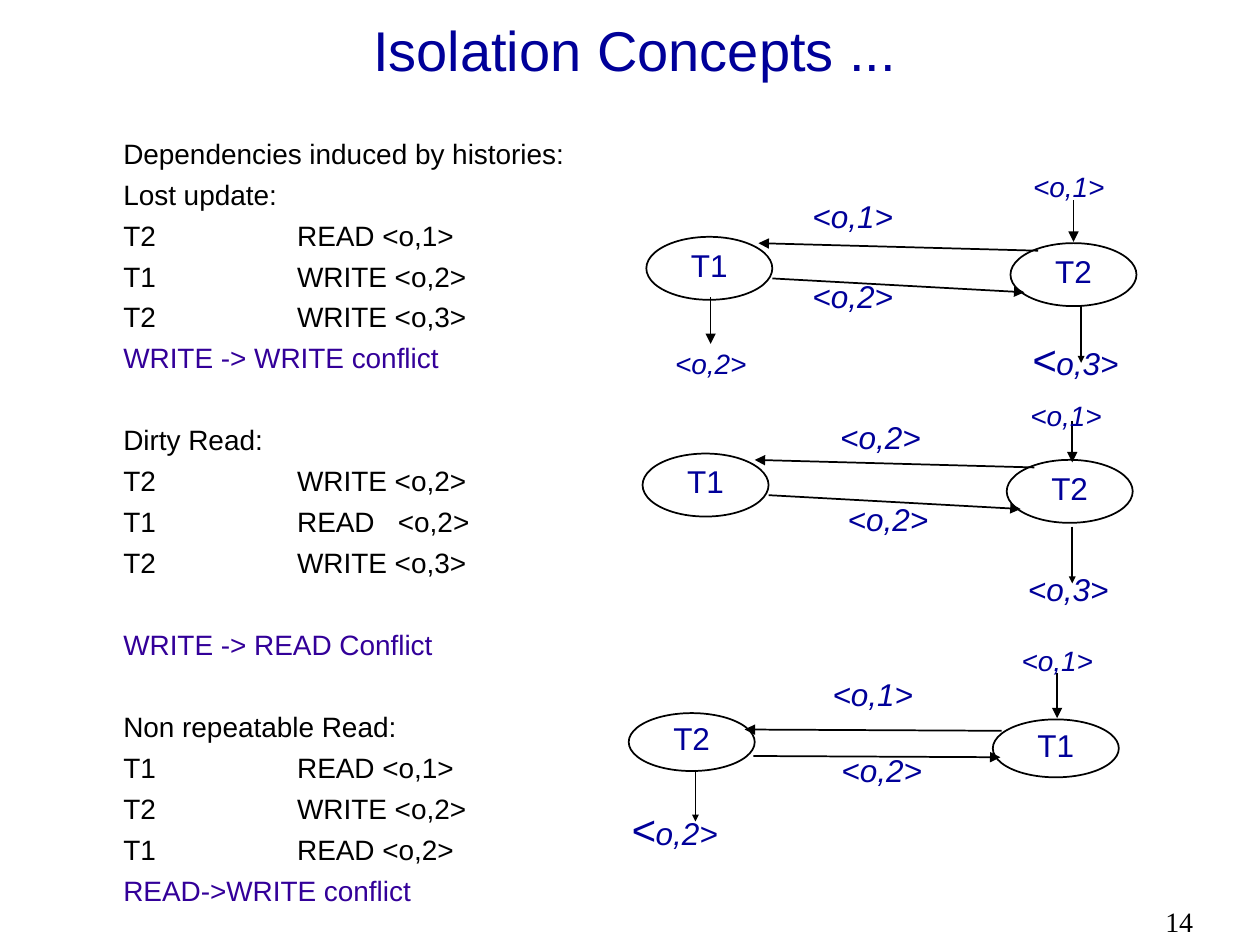
from dataclasses import dataclass

from lxml import etree
from pptx import Presentation
from pptx import util as u
from pptx.dml.color import RGBColor
from pptx.enum import shapes, text
from pptx.oxml import ns

COLORS = {"ink": "000000", "navy": "000099", "violet": "330099"}
NODE_W, NODE_DX, NODE_DY = 1, 2.89, 0.05
LABEL_H = 0.34
LINE_PT = 17.4
FRAME = {"word_wrap": True, "auto_size": text.MSO_AUTO_SIZE.NONE}


@dataclass
class Label:
    left: float
    top: float
    width: float
    runs: list[tuple[str, int]]


@dataclass
class Arrow:
    x1: float
    y1: float
    x2: float
    y2: float
    size: str = "med"
    weight: float = 1


@dataclass
class Graph:
    left: float
    top: float
    node_h: float
    names: tuple[str, str]
    arrows: list[Arrow]
    labels: list[Label]


def color(name: str) -> RGBColor:
    return RGBColor.from_string(COLORS[name])


def apply(obj, values: dict) -> None:
    for name, value in values.items():
        setattr(obj, name, value)


def add_run(p, words: str, size: int, ink: str, italic: bool = False,
            font: str = "Arial") -> None:
    r = p.add_run()
    r.text = words
    apply(r.font, {"name": font, "size": u.Pt(size), "italic": italic, "bold": False})
    r.font.color.rgb = color(ink)


def add_box(s, left: float, top: float, width: float, height: float):
    sp = s.shapes.add_textbox(*map(u.Inches, (left, top, width, height)))
    apply(sp.text_frame, FRAME)
    return sp.text_frame


def add_tabs(p, stops: tuple[float, ...]) -> None:
    tabs = etree.SubElement(p._p.get_or_add_pPr(), ns.qn("a:tabLst"))
    for stop in stops:
        etree.SubElement(tabs, ns.qn("a:tab"), pos=str(u.Inches(stop)), algn="l")


def add_label(s, label: Label) -> None:
    p = add_box(s, label.left, label.top, label.width, LABEL_H).paragraphs[0]
    p.line_spacing = u.Pt(LINE_PT)
    for words, size in label.runs:
        add_run(p, words, size, "navy", italic=True)


def add_node(s, left: float, top: float, height: float, name: str) -> None:
    sp = s.shapes.add_shape(shapes.MSO_SHAPE.OVAL,
                            *map(u.Inches, (left, top, NODE_W, height)))
    sp.shadow.inherit = False
    sp.fill.background()
    sp.line.color.rgb = color("ink")
    sp.line.width = u.Pt(1)
    tf = sp.text_frame
    apply(tf, {"word_wrap": False, "vertical_anchor": text.MSO_ANCHOR.MIDDLE})
    p = tf.paragraphs[0]
    apply(p, {"alignment": text.PP_ALIGN.CENTER, "line_spacing": u.Pt(LINE_PT)})
    add_run(p, name, 18, "navy")


def add_arrow(s, arrow: Arrow) -> None:
    ends = map(u.Inches, (arrow.x1, arrow.y1, arrow.x2, arrow.y2))
    sp = s.shapes.add_connector(shapes.MSO_CONNECTOR.STRAIGHT, *ends)
    sp.line.color.rgb = color("ink")
    sp.line.width = u.Pt(arrow.weight)
    etree.SubElement(sp.line._get_or_add_ln(), ns.qn("a:tailEnd"),
                     type="triangle", w=arrow.size, len=arrow.size)
    etree.SubElement(sp._element.spPr, ns.qn("a:effectLst"))


def add_graph(s, graph: Graph) -> None:
    for i, name in enumerate(graph.names):
        add_node(s, graph.left + i * NODE_DX, graph.top + i * NODE_DY,
                 graph.node_h, name)
    for arrow in graph.arrows:
        add_arrow(s, arrow)
    for label in graph.labels:
        add_label(s, label)


def crossing(left: float, top: float) -> list[Arrow]:
    """Arrows both ways between the two nodes of a graph."""
    return [Arrow(left + 3.11, top + 0.11, left + 0.89, top + 0.05),
            Arrow(left + 1, top + 0.33, left + 3, top + 0.44)]


# Histories: text, colour, blank lines' worth of gap above
HISTORIES = [
    ("Dependencies induced by histories:", "ink", 0),
    ("Lost update:", "ink", 0),
    ("T2\tREAD <o,1>", "ink", 0),
    ("T1\tWRITE <o,2>", "ink", 0),
    ("T2\tWRITE <o,3>", "ink", 0),
    ("WRITE -> WRITE conflict", "violet", 0),
    ("Dirty Read:", "ink", 1),
    ("T2\tWRITE <o,2>", "ink", 0),
    ("T1\tREAD\t<o,2>", "ink", 0),
    ("T2\tWRITE <o,3>", "ink", 0),
    ("WRITE -> READ Conflict", "violet", 1),
    ("Non repeatable Read:", "ink", 1),
    ("T1\tREAD <o,1>", "ink", 0),
    ("T2\tWRITE <o,2>", "ink", 0),
    ("T1\tREAD <o,2>", "ink", 0),
    ("READ->WRITE conflict", "violet", 0),
]

GRAPHS = [
    Graph(5.13, 1.88, 0.5, ("T1", "T2"),
          crossing(5.13, 1.88) + [Arrow(8.52, 1.59, 8.52, 1.92),
                                  Arrow(8.58, 2.43, 8.58, 2.88, "sm"),
                                  Arrow(5.64, 2.36, 5.64, 2.73, weight=0.75)],
          [Label(8.1, 1.32, 0.99, [("<o,1>", 16)]),
           Label(6.35, 1.57, 1.44, [("<o,1>", 18)]),
           Label(6.35, 2.21, 1.44, [("<o,2>", 18)]),
           Label(5.26, 2.73, 0.81, [("<o,2>", 16)]),
           Label(8.09, 2.76, 1.22, [("<", 24), ("o,3>", 18)])]),
    Graph(5.1, 3.6, 0.5, ("T1", "T2"),
          crossing(5.1, 3.6) + [Arrow(8.51, 3.34, 8.51, 3.67),
                                Arrow(8.51, 4.18, 8.51, 4.63, "sm")],
          [Label(8.08, 3.14, 0.8, [("<o,1>", 16)]),
           Label(6.57, 3.33, 1.44, [("<o,2>", 18)]),
           Label(6.63, 3.98, 1.44, [("<o,2>", 18)]),
           Label(8.06, 4.53, 0.93, [("<o,3>", 18)])]),
    Graph(4.99, 5.66, 0.46, ("T2", "T1"),
          [Arrow(7.95, 5.8, 5.91, 5.79),
           Arrow(5.98, 6, 7.94, 6.01),
           Arrow(8.39, 5.34, 8.39, 5.7, weight=0.75),
           Arrow(5.52, 6.11, 5.52, 6.52, "sm")],
          [Label(8.01, 5.08, 0.85, [("<o,1>", 16)]),
           Label(6.51, 5.37, 1.44, [("<o,1>", 18)]),
           Label(6.58, 5.97, 1.44, [("<o,2>", 18)]),
           Label(4.91, 6.49, 1.22, [("<", 24), ("o,2>", 18)])]),
]


def main() -> None:
    prs = Presentation()
    apply(prs, {"slide_width": u.Inches(10), "slide_height": u.Inches(7.5)})
    s = prs.slides.add_slide(prs.slide_layouts[5])

    # Title
    title = s.shapes.title
    apply(title, {"left": u.Inches(0.79), "top": u.Inches(0.19),
                  "width": u.Inches(8.5), "height": u.Inches(0.69)})
    apply(title.text_frame, FRAME | {"vertical_anchor": text.MSO_ANCHOR.MIDDLE})
    p = title.text_frame.paragraphs[0]
    apply(p, {"alignment": text.PP_ALIGN.CENTER, "line_spacing": u.Pt(LINE_PT)})
    add_run(p, "Isolation Concepts ...", 32, "navy")

    # Histories
    tf = add_box(s, 0.88, 1.03, 4.09, 6.13)
    line, gap = 19.4, 4
    for i, (words, ink, blanks) in enumerate(HISTORIES):
        p = tf.add_paragraph() if i else tf.paragraphs[0]
        p.line_spacing = u.Pt(line)
        if i:
            p.space_before = u.Pt(gap + blanks * (line + gap))
        if "\t" in words:
            add_tabs(p, (1.38, 2.18))
        add_run(p, words, 16, ink)

    # Dependency graphs
    for graph in GRAPHS:
        add_graph(s, graph)

    # Page number
    p = add_box(s, 9.15, 7.13, 0.85, 0.37).paragraphs[0]
    add_run(p, "14", 16, "ink", font="Times New Roman")

    prs.save("out.pptx")


if __name__ == "__main__":
    main()
